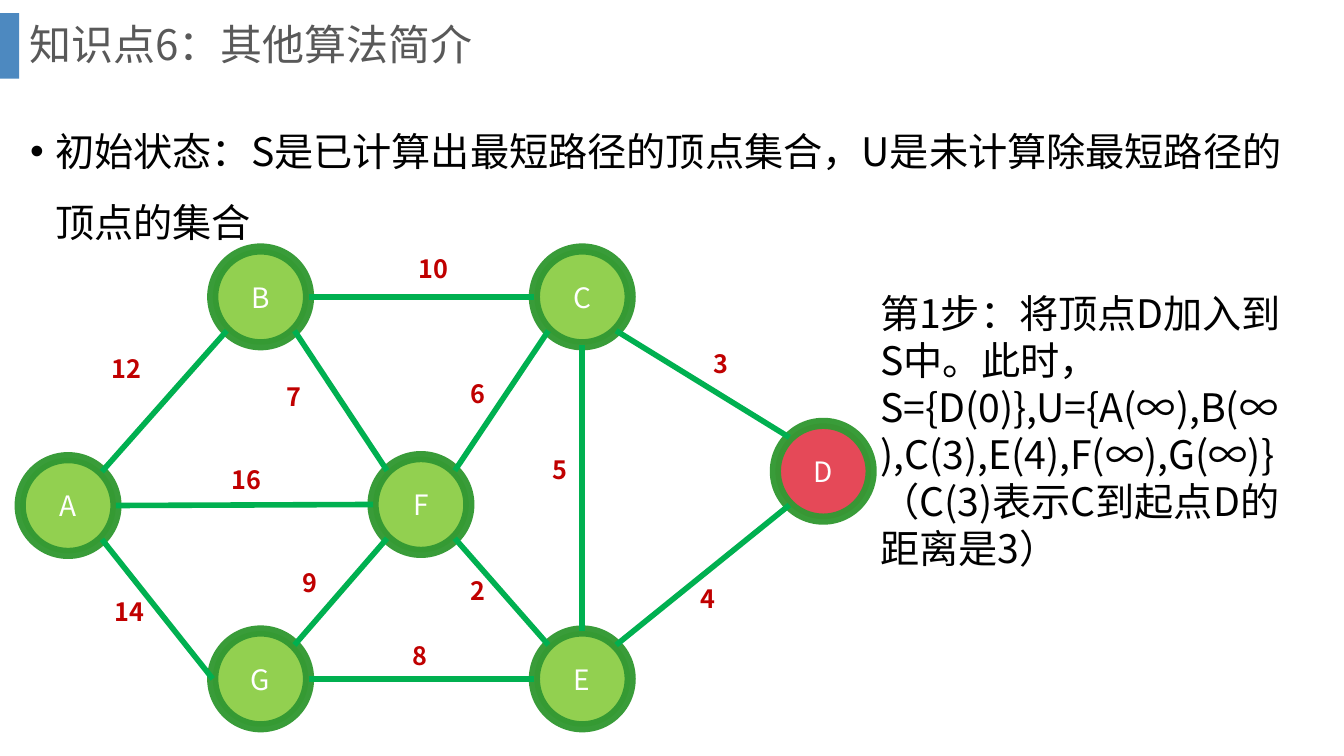
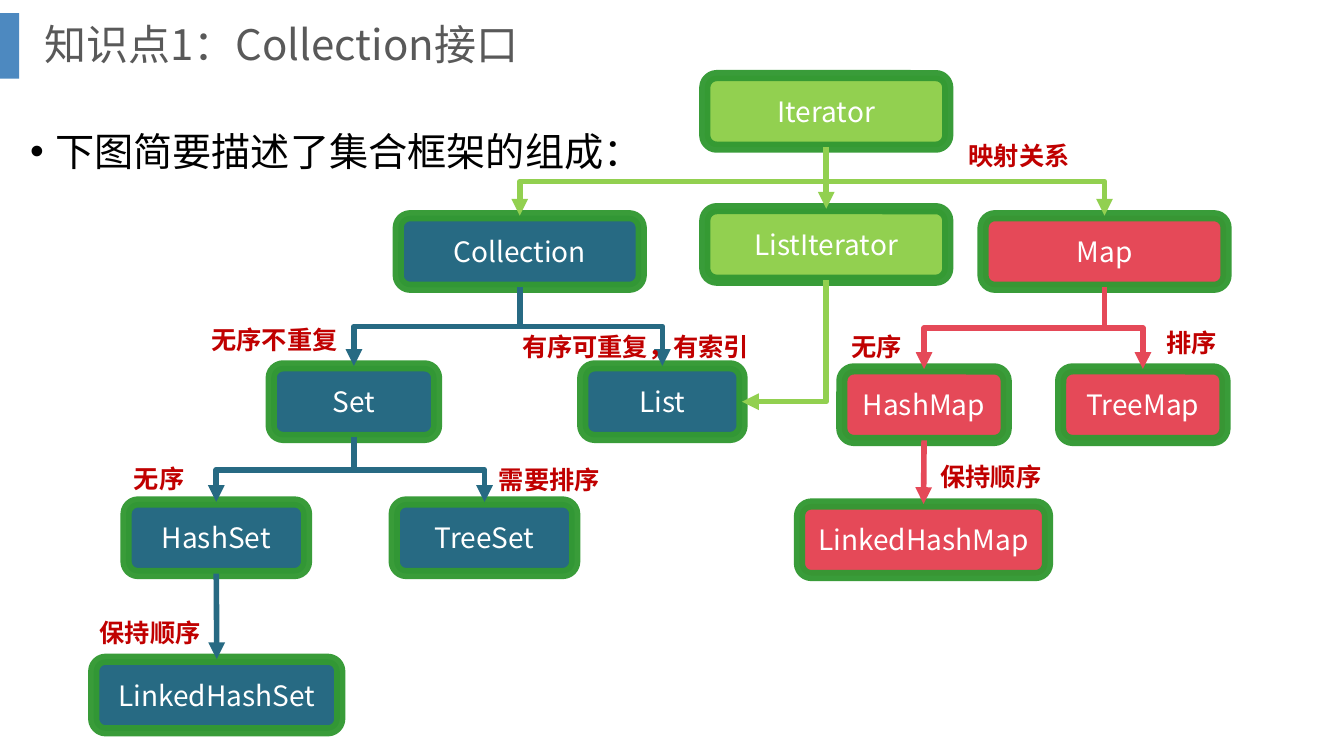
from dataclasses import dataclass

import lxml.etree
import pptx
import pptx.dml.color
import pptx.enum.lang
import pptx.enum.shapes
import pptx.enum.text
import pptx.oxml.ns
import pptx.shapes.autoshape
import pptx.shapes.connector
import pptx.slide
import pptx.util

Inches = pptx.util.Inches
Pt = pptx.util.Pt
qn = pptx.oxml.ns.qn
Shape = pptx.shapes.autoshape.Shape
Connector = pptx.shapes.connector.Connector
Page = pptx.slide.Slide
ShapeKind = pptx.enum.shapes.MSO_SHAPE
ConnectorKind = pptx.enum.shapes.MSO_CONNECTOR
Align = pptx.enum.text.PP_ALIGN
Anchor = pptx.enum.text.MSO_ANCHOR

# Shared style
FONT = "Noto Sans CJK SC"
BAR, TITLE, BLACK, WHITE = "2E75B6", "595959", "000000", "FFFFFF"
GREEN, RED, BLUE = "92D050", "E54958", "276A83"
OUTLINE, EDGE, LABEL = "339933", "00B050", "C00000"
BOX_HEIGHT = 0.71
NODE_SIZE = 0.95
TOP, LEFT, BOTTOM, RIGHT = range(4)


@dataclass(frozen=True)
class Node:
    name: str
    left: float
    top: float
    color: str = GREEN

    def site(self, direction: str) -> tuple[float, float]:
        """Point on the circle in a compass direction such as N or SE."""
        radius = NODE_SIZE / 2
        step = radius * (0.5 ** 0.5 if len(direction) == 2 else 1)
        across = ("E" in direction) - ("W" in direction)
        down = ("S" in direction) - ("N" in direction)
        return self.left + radius + across * step, self.top + radius + down * step


@dataclass(frozen=True)
class Edge:
    start: str
    start_side: str
    end: str
    end_side: str


@dataclass(frozen=True)
class TypeBox:
    name: str
    left: float
    top: float
    width: float
    color: str


@dataclass(frozen=True)
class Arrow:
    start: str
    end: str
    color: str
    end_side: int = TOP


@dataclass(frozen=True)
class Label:
    text: str
    left: float
    top: float
    width: float = 1.77


NODES = [
    Node("A", 0.2, 4.54), Node("B", 2.11, 2.47), Node("C", 5.3, 2.47),
    Node("G", 2.11, 6.26), Node("E", 5.3, 6.26), Node("F", 3.7, 4.53),
    Node("D", 7.69, 4.2, RED),
]
EDGES = [
    Edge("A", "NE", "B", "SW"), Edge("A", "SE", "G", "W"),
    Edge("A", "E", "F", "W"), Edge("G", "E", "E", "W"),
    Edge("B", "SE", "F", "NW"), Edge("B", "E", "C", "W"),
    Edge("G", "NE", "F", "SW"), Edge("F", "SE", "E", "NW"),
    Edge("C", "S", "E", "N"), Edge("F", "NE", "C", "SW"),
    Edge("C", "SE", "D", "NW"), Edge("E", "NE", "D", "SW"),
]
WEIGHTS = [
    Label(text, left, top, 0.51) for text, left, top in [
        ("14", 1.04, 5.87), ("16", 2.2, 4.56), ("12", 1.01, 3.46),
        ("10", 4.05, 2.46), ("7", 2.74, 3.73), ("9", 2.9, 5.58),
        ("8", 3.99, 6.3), ("2", 4.57, 5.66), ("6", 4.57, 3.7),
        ("5", 5.38, 4.46), ("3", 6.98, 3.41), ("4", 6.85, 5.74),
    ]
]
TYPE_BOXES = [
    TypeBox("Iterator", 6.99, 0.75, 2.41, GREEN),
    TypeBox("ListIterator", 6.99, 2.07, 2.41, GREEN),
    TypeBox("Map", 9.75, 2.14, 2.41, RED),
    TypeBox("HashMap", 8.35, 3.66, 1.63, RED),
    TypeBox("TreeMap", 10.52, 3.66, 1.63, RED),
    TypeBox("LinkedHashMap", 7.93, 5, 2.46, RED),
    TypeBox("Collection", 3.95, 2.14, 2.41, BLUE),
    TypeBox("Set", 2.69, 3.63, 1.64, BLUE),
    TypeBox("List", 5.78, 3.63, 1.58, BLUE),
    TypeBox("HashSet", 1.25, 4.98, 1.79, BLUE),
    TypeBox("TreeSet", 3.91, 4.98, 1.79, BLUE),
    TypeBox("LinkedHashSet", 0.93, 6.54, 2.44, BLUE),
]
ARROWS = [
    Arrow("Collection", "Set", BLUE), Arrow("Collection", "List", BLUE),
    Arrow("Set", "HashSet", BLUE), Arrow("Set", "TreeSet", BLUE),
    Arrow("HashSet", "LinkedHashSet", BLUE),
    Arrow("Iterator", "ListIterator", GREEN),
    Arrow("Iterator", "Collection", GREEN), Arrow("Iterator", "Map", GREEN),
    Arrow("ListIterator", "List", GREEN, RIGHT),
    Arrow("Map", "HashMap", RED), Arrow("Map", "TreeMap", RED),
    Arrow("HashMap", "LinkedHashMap", RED),
]
RELATIONS = [
    Label("映射关系", 9.51, 1.34), Label("无序", 8.35, 3.24),
    Label("排序", 11.47, 3.2, 0.76), Label("保持顺序", 9.23, 4.53),
    Label("无序不重复", 2, 3.17), Label("有序可重复，有索引", 5.08, 3.24, 2.9),
    Label("无序", 1.23, 4.55), Label("需要排序", 4.85, 4.56),
    Label("保持顺序", 0.89, 6.08),
]


# Drawing helpers
def rgb(color: str) -> pptx.dml.color.RGBColor:
    return pptx.dml.color.RGBColor.from_string(color)


def set_opacity(parent, percent: int) -> None:
    color = parent.find(qn("a:solidFill")).find(qn("a:srgbClr"))
    lxml.etree.SubElement(color, qn("a:alpha")).set("val", str(percent * 1000))


def write(box: Shape, text: str, size: float, color: str, bold: bool = False):
    """Fill the first paragraph of a box with one run."""
    box.text_frame.word_wrap = True
    para = box.text_frame.paragraphs[0]
    span = para.add_run()
    span.text = text
    font = span.font
    font.size, font.bold, font.name = Pt(size), bold, FONT
    font.color.rgb = rgb(color)
    font.language_id = pptx.enum.lang.MSO_LANGUAGE_ID.SIMPLIFIED_CHINESE
    east_asian = lxml.etree.SubElement(span._r.get_or_add_rPr(), qn("a:ea"))
    east_asian.set("typeface", FONT)
    return para


def add_text(page: Page, left: float, top: float, width: float, height: float,
             text: str, size: float, color: str, bold: bool = False):
    box = page.shapes.add_textbox(
        Inches(left), Inches(top), Inches(width), Inches(height))
    return box, write(box, text, size, color, bold)


def add_label(page: Page, label: Label) -> None:
    add_text(page, label.left, label.top, label.width, 0.4,
             label.text, 18, LABEL, True)


def add_shape(page: Page, kind: ShapeKind, left: float, top: float,
              width: float, height: float, color: str) -> Shape:
    shape = page.shapes.add_shape(
        kind, Inches(left), Inches(top), Inches(width), Inches(height))
    shape.shadow.inherit = False
    shape.fill.solid()
    shape.fill.fore_color.rgb = rgb(color)
    shape.line.fill.background()
    return shape


def add_outlined(page: Page, kind: ShapeKind, left: float, top: float,
                 width: float, height: float, color: str, name: str) -> Shape:
    shape = add_shape(page, kind, left, top, width, height, color)
    shape.line.width = Pt(8)
    shape.line.color.rgb = rgb(OUTLINE)
    set_opacity(shape._element.spPr.find(qn("a:ln")), 96)
    shape.text_frame.vertical_anchor = Anchor.MIDDLE
    write(shape, name, 20, WHITE).alignment = Align.CENTER
    return shape


def style_line(line: Connector, color: str, arrowhead: bool = False) -> None:
    line.line.width = Pt(4)
    line.line.color.rgb = rgb(color)
    properties = line._element.spPr
    if arrowhead:
        tail = lxml.etree.SubElement(properties.find(qn("a:ln")), qn("a:tailEnd"))
        tail.set("type", "triangle")
    lxml.etree.SubElement(properties, qn("a:effectLst"))


def turn_downward(line: Connector, preset: str) -> None:
    """Rotate an elbow so that it leaves its start vertically."""
    across = line.end_x - line.begin_x
    down = line.end_y - line.begin_y
    center_x = (line.begin_x + line.end_x) // 2
    center_y = (line.begin_y + line.end_y) // 2
    line.left, line.top = center_x - down // 2, center_y - abs(across) // 2
    line.width, line.height = down, abs(across)
    properties = line._element.spPr
    frame = properties.find(qn("a:xfrm"))
    frame.set("rot", str((270 if across > 0 else 90) * 60000))
    frame.set("flipH", "1" if across > 0 else "0")
    properties.find(qn("a:prstGeom")).set("prst", preset)


def add_arrow(page: Page, arrow: Arrow, boxes: dict[str, Shape]) -> None:
    start, end = boxes[arrow.start], boxes[arrow.end]
    offset = abs(start.left + start.width // 2 - end.left - end.width // 2)
    straight = offset < Inches(0.05)
    kind = ConnectorKind.STRAIGHT if straight else ConnectorKind.ELBOW
    line = page.shapes.add_connector(kind, 0, 0, 0, 0)
    line.begin_connect(start, BOTTOM)
    line.end_connect(end, arrow.end_side)
    if not straight:
        turn_downward(line, "bentConnector3" if arrow.end_side == TOP
                      else "bentConnector2")
    style_line(line, arrow.color, True)


def add_page(deck, title: str, title_left: float, bullet: str) -> Page:
    """Start a page with the side bar, title and bulleted sentence."""
    page = deck.slides.add_slide(deck.slide_layouts[6])
    bar = add_shape(page, ShapeKind.RECTANGLE, 0, 0.13, 0.19, 0.65, BAR)
    set_opacity(bar._element.spPr, 85)
    box, para = add_text(page, title_left, 0, 12.66, 0.93, title, 30, TITLE)
    box.text_frame.vertical_anchor = Anchor.MIDDLE
    para.line_spacing = 0.9
    box, para = add_text(page, 0.2, 0.98, 12.9, 5.96, bullet, 28, BLACK)
    para.line_spacing = 1.5
    properties = para._p.get_or_add_pPr()
    properties.set("marL", str(Inches(0.25)))
    properties.set("indent", str(Inches(-0.25)))
    lxml.etree.SubElement(properties, qn("a:buFont")).set("typeface", "Arial")
    lxml.etree.SubElement(properties, qn("a:buChar")).set("char", "•")
    return page


# Pages
def add_graph_page(deck) -> None:
    page = add_page(deck, "知识点6：其他算法简介", 0.19,
                    "初始状态：S是已计算出最短路径的顶点集合，"
                    "U是未计算除最短路径的顶点的集合")
    nodes = {node.name: node for node in NODES}
    for node in NODES:
        add_outlined(page, ShapeKind.OVAL, node.left, node.top,
                     NODE_SIZE, NODE_SIZE, node.color, node.name)
    for edge in EDGES:
        points = (nodes[edge.start].site(edge.start_side)
                  + nodes[edge.end].site(edge.end_side))
        line = page.shapes.add_connector(
            ConnectorKind.STRAIGHT, *(Inches(value) for value in points))
        style_line(line, EDGE)
    for weight in WEIGHTS:
        add_label(page, weight)
    add_text(page, 8.63, 2.82, 4.21, 2.93,
             "第1步：将顶点D加入到S中。此时，"
             "S={D(0)},U={A(∞),B(∞),C(3),E(4),F(∞),G(∞)}"
             "（C(3)表示C到起点D的距离是3）", 28, BLACK)


def add_collection_page(deck) -> None:
    page = add_page(deck, "知识点1：Collection接口", 0.34,
                    "下图简要描述了集合框架的组成：")
    boxes = {
        box.name: add_outlined(page, ShapeKind.ROUNDED_RECTANGLE, box.left,
                               box.top, box.width, BOX_HEIGHT, box.color, box.name)
        for box in TYPE_BOXES
    }
    for arrow in ARROWS:
        add_arrow(page, arrow, boxes)
    for relation in RELATIONS:
        add_label(page, relation)


def main() -> None:
    deck = pptx.Presentation()
    deck.slide_width, deck.slide_height = Inches(13.33), Inches(7.5)
    add_graph_page(deck)
    add_collection_page(deck)
    deck.save("out.pptx")


if __name__ == "__main__":
    main()
